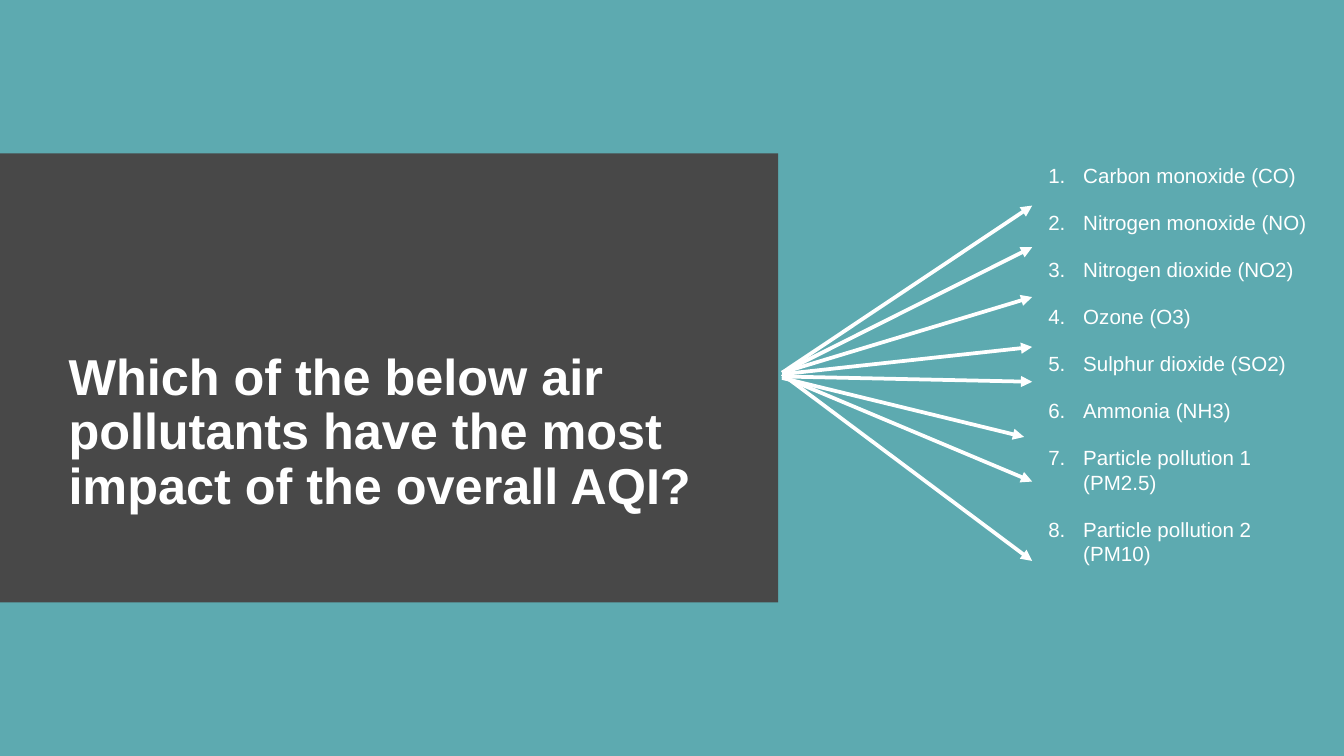
from lxml import etree
from pptx import Presentation
from pptx import util as u
from pptx.dml.color import RGBColor
from pptx.enum import shapes, text
from pptx.oxml.ns import qn

WIDTH = u.Inches(10)
HEIGHT = WIDTH * 9 // 16
TEAL, GRAY, WHITE = "5DAAB0", "484848", "FFFFFF"
QUESTION = "Which of the below air pollutants have the most impact of the overall AQI?"
POLLUTANTS = [
    "Carbon monoxide (CO)",
    "Nitrogen monoxide (NO)",
    "Nitrogen dioxide (NO2)",
    "Ozone (O3)",
    "Sulphur dioxide (SO2)",
    "Ammonia (NH3)",
    "Particle pollution 1 (PM2.5)",
    "Particle pollution 2 (PM10)",
]
ARROW_LEFT = 58.2
ARROWS = [
    (49.3, 76.8, 27.2),
    (49.3, 76.8, 32.7),
    (49.3, 76.8, 39.3),
    (49.5, 76.8, 45.9),
    (49.8, 76.8, 50.5),
    (50, 76.2, 57.8),
    (49.8, 76.8, 63.7),
    (49.5, 76.8, 74.2),
]


def color(value):
    """Turn a hex string into a colour."""
    return RGBColor.from_string(value)


def at(x, y):
    """Turn percentages of the slide's width and height into lengths."""
    return int(WIDTH * x / 100), int(HEIGHT * y / 100)


def place(sp, x, y, w, h):
    """Move and size a shape in percentages of the slide."""
    sp.left, sp.top = at(x, y)
    sp.width, sp.height = at(w, h)


def setup_frame(tf, insets):
    """Set the insets, top anchor and wrapping of a text frame."""
    tf.margin_left, tf.margin_top, tf.margin_right, tf.margin_bottom = map(u.Inches, insets)
    tf.vertical_anchor = text.MSO_ANCHOR.TOP
    tf.auto_size = text.MSO_AUTO_SIZE.NONE
    tf.word_wrap = True


def write(p, words, size, bold=False, fill=WHITE, before=0, spacing=1.0):
    """Write one formatted run into a left-aligned paragraph."""
    p.alignment = text.PP_ALIGN.LEFT
    p.space_before, p.line_spacing = u.Pt(before), spacing
    r = p.add_run()
    r.text = words
    r.font.name, r.font.size, r.font.bold = "Arial", u.Pt(size), bold
    r.font.color.rgb = color(fill)


def number(p, indent, hanging):
    """Give a paragraph a white automatic number and a hanging indent."""
    pPr = p._p.get_or_add_pPr()
    pPr.set("marL", str(u.Inches(indent)))
    pPr.set("indent", str(-u.Inches(hanging)))
    buClr = etree.SubElement(pPr, qn("a:buClr"))
    etree.SubElement(buClr, qn("a:srgbClr"), val=WHITE)
    etree.SubElement(pPr, qn("a:buFont"), typeface="Arial")
    etree.SubElement(pPr, qn("a:buAutoNum"), type="arabicPeriod")


def add_panel(s):
    """Add the dark panel behind the placeholders."""
    sp = s.shapes.add_shape(shapes.MSO_SHAPE.RECTANGLE, 0, 0, 0, 0)
    place(sp, 0, 20.3, 57.9, 59.4)
    sp.shadow.inherit = False
    sp.fill.solid()
    sp.fill.fore_color.rgb = color(GRAY)
    sp.line.fill.background()
    s.shapes._spTree.insert(2, sp._element)


def add_question(s):
    """Fill the title placeholder with the question."""
    sp = s.shapes.title
    place(sp, 5.1, 45.8, 50.1, 24.7)
    setup_frame(sp.text_frame, (0, 0.04, 0.07, 0.04))
    write(sp.text_frame.paragraphs[0], QUESTION, 27, bold=True, spacing=0.9)


def add_pollutants(s):
    """Fill the body placeholder with the numbered pollutants."""
    sp = s.placeholders[1]
    place(sp, 74.6, 19.75, 24.3, 60.5)
    tf = sp.text_frame
    setup_frame(tf, (0.1, 0.1, 0.1, 0.1))
    for i, name in enumerate(POLLUTANTS):
        p = tf.add_paragraph() if i else tf.paragraphs[0]
        write(p, name, 11, before=12)
        number(p, 0.5, 0.26)


def add_arrow(s, start, end):
    """Draw a white arrow between two points."""
    line = s.shapes.add_connector(shapes.MSO_CONNECTOR.STRAIGHT, *at(*start), *at(*end))
    line.line.color.rgb = color(WHITE)
    line.line.width = u.Pt(2)
    etree.SubElement(line.line._get_or_add_ln(), qn("a:tailEnd"), type="triangle")
    etree.SubElement(line._element.spPr, qn("a:effectLst"))


def main():
    """Build and save the slide."""
    prs = Presentation()
    prs.slide_width, prs.slide_height = WIDTH, HEIGHT
    s = prs.slides.add_slide(prs.slide_layouts[1])
    s.background.fill.solid()
    s.background.fill.fore_color.rgb = color(TEAL)
    add_panel(s)
    add_question(s)
    add_pollutants(s)
    for start_y, end_x, end_y in ARROWS:
        add_arrow(s, (ARROW_LEFT, start_y), (end_x, end_y))
    prs.save("out.pptx")


if __name__ == "__main__":
    main()
